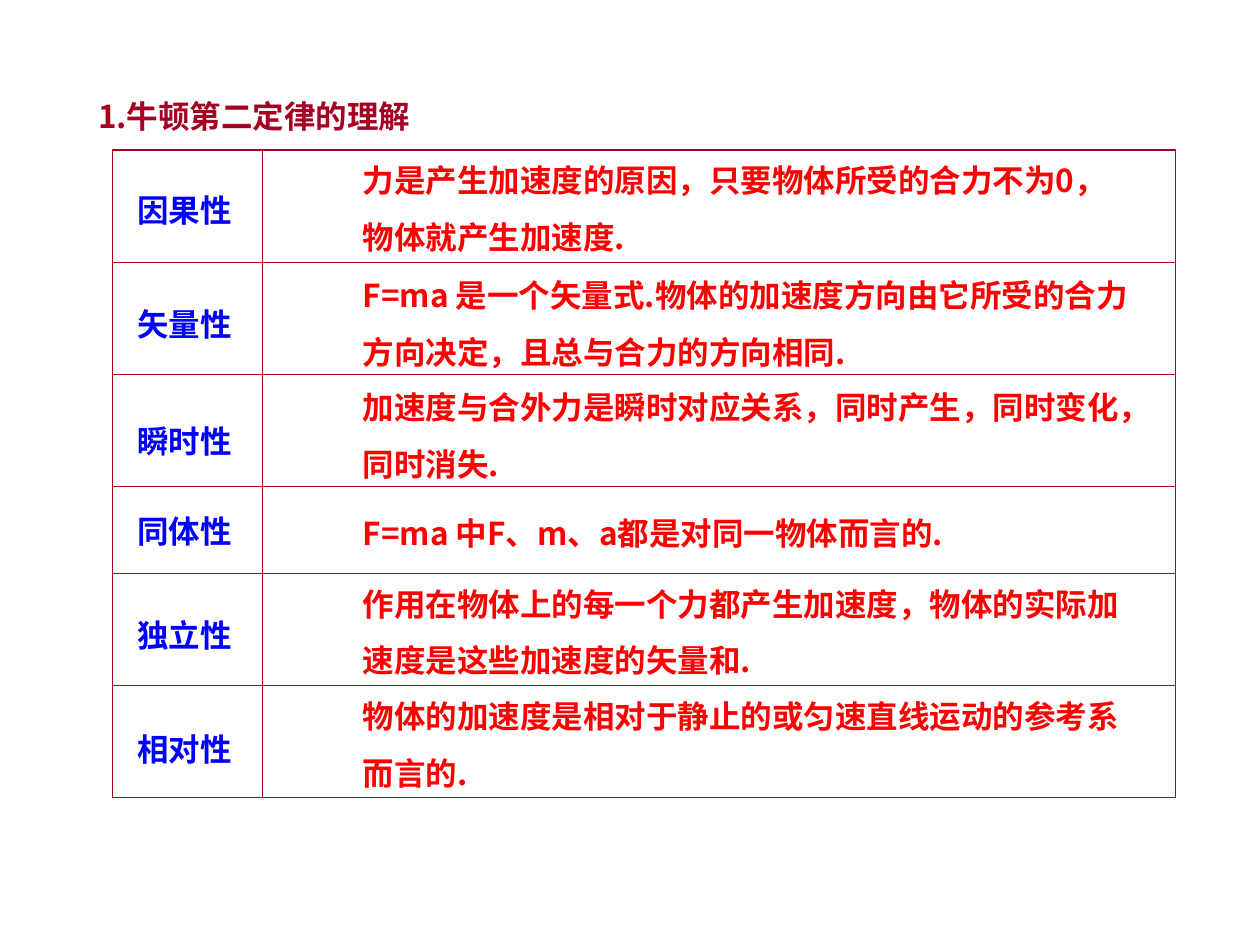
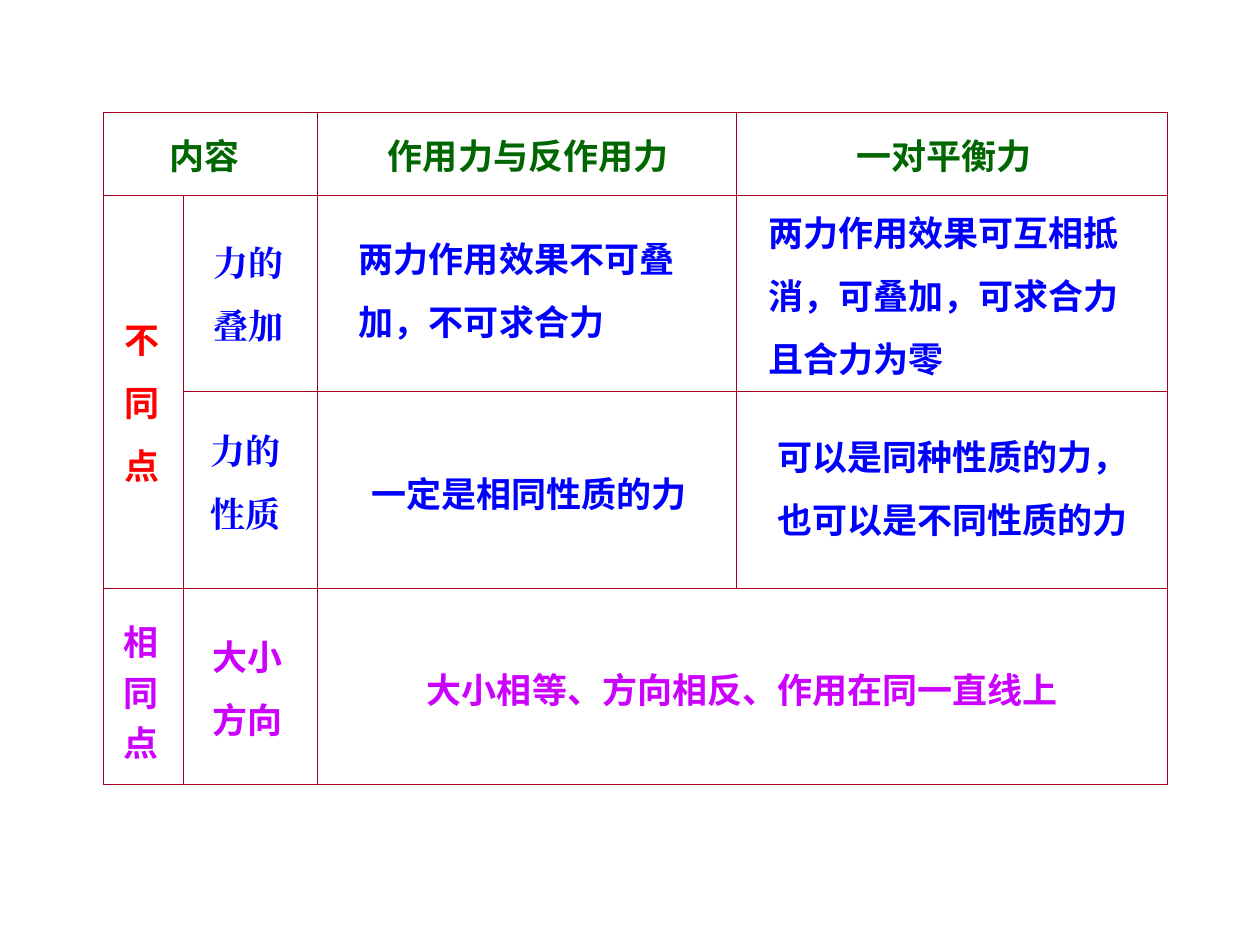
from lxml.etree import SubElement
from pptx import Presentation
from pptx.dml.color import RGBColor
from pptx.enum.text import MSO_ANCHOR as Anchor, MSO_AUTO_SIZE as AutoSize
from pptx.oxml.ns import qn
from pptx.util import Pt

SANS, SERIF = "Noto Sans CJK SC", "Times New Roman"
CRIMSON, BLUE, RED, GREEN, PURPLE = "A50021", "0000FF", "FF0000", "006600", "CC00FF"
NO_GRID = "{2D5ABB26-0587-4C30-8999-92F81FD0307C}"
OUTER, INNER = 0.75, 0.45

LAW_TITLE = "1.牛顿第二定律的理解"
LAW_GRID = dict(left=64.1, top=85.7, columns=[85.7, 522],
                rows=[64.1, 64.1, 64.1, 49.7, 64.1, 64.1])
LAW_LABEL_LEFT, LAW_TEXT_LEFT = 71.3, 200.2
LAW_PROPERTIES = [
    ("因果性", 95, 77.8, 455.8, ["力是产生加速度的原因，只要物体所受的合力不为0，物体就产生加速度."]),
    ("矢量性", 159.8, 143.3, 484.6, ["F=ma 是一个矢量式.物体的加速度方向由它所受的合力",
                                  "方向决定，且总与合力的方向相同."]),
    ("瞬时性", 226.8, 207.4, 488.9, ["加速度与合外力是瞬时对应关系，同时产生，同时变化，",
                                  "同时消失."]),
    ("同体性", 277.9, 279.4, 455.8, ["F=ma 中F、m、a都是对同一物体而言的."]),
    ("独立性", 337.7, 319.7, 455.8, ["作用在物体上的每一个力都产生加速度，物体的实际加速度是这些加速度的矢量和."]),
    ("相对性", 402.5, 383.8, 455.8, ["物体的加速度是相对于静止的或匀速直线运动的参考系而言的."]),
]

FORCE_GRID = dict(left=59, top=64.1, columns=[46, 76.3, 239.8, 246.2],
                  rows=[47.5, 112.3, 112.3, 112.3],
                  merges=[(0, 0, 0, 1), (1, 0, 2, 0), (3, 2, 3, 3)])
FORCE_TEXTS = [
    (["内容"], (90, 61.2, 79.9, 43.2), GREEN, {}),
    (["作用力与反作用力"], (214.6, 61.2, 205.9, 43.2), GREEN, {}),
    (["一对平衡力"], (482.4, 61.2, 159.8, 43.2), GREEN, {}),
    (["不", "同", "点"], (64.1, 166.3, 45.4, 115.2), RED, {}),
    (["力的", "叠加"], (115.2, 122.4, 76.3, 79.2), BLUE, dict(name=SERIF)),
    (["力的", "性质"], (113, 229.7, 76.3, 79.2), BLUE, dict(name=SERIF)),
    (["两力作用效果不可叠", "加，不可求合力"], (198, 120.2, 244.8, 79.2), BLUE, {}),
    (["两力作用效果可互相抵", "消，可叠加，可求合力", "且合力为零"],
     (432, 105.1, 253.4, 115.2), BLUE, {}),
    (["一定是相同性质的力"], (205.2, 254.2, 240.5, 43.2), BLUE, {}),
    (["可以是同种性质的力，", "也可以是不同性质的力"], (437, 233.3, 262.8, 79.2), BLUE, {}),
    (["相", "同", "点"], (63.4, 346.3, 58.3, 93.6), PURPLE, dict(spacing=1.2)),
    (["大小", "方向"], (114.5, 347.8, 91.4, 79.2), PURPLE, {}),
    (["大小相等、方向相反、作用在同一直线上"], (236.9, 366.5, 434.9, 43.2), PURPLE, {}),
]


def color(value):
    return RGBColor.from_string(value)


def add_text(page, lines, place, ink, size=20, name=SANS, spacing=1.5):
    box = page.shapes.add_textbox(*map(Pt, place))
    frame = box.text_frame
    frame.word_wrap = True
    frame.auto_size = AutoSize.SHAPE_TO_FIT_TEXT
    frame.vertical_anchor = Anchor.MIDDLE
    frame.text = "\n".join(lines)
    for para in frame.paragraphs:
        para.line_spacing = spacing
        font = para.font
        font.name, font.size, font.bold = name, Pt(size), True
        font.color.rgb = color(ink)
        defaults = para._p.pPr.find(qn("a:defRPr"))
        SubElement(defaults, qn("a:ea"), typeface=name)


def add_border(cell, side, width):
    properties = cell._tc.get_or_add_tcPr()
    line = SubElement(properties, qn("a:ln" + side), w=str(Pt(width)))
    fill = SubElement(line, qn("a:solidFill"))
    SubElement(fill, qn("a:srgbClr"), val=CRIMSON)


def add_grid(page, left, top, columns, rows, merges=()):
    shape = page.shapes.add_table(len(rows), len(columns), Pt(left), Pt(top),
                                  Pt(sum(columns)), Pt(sum(rows)))
    table = shape.table
    table.first_row = table.horz_banding = False
    table._tbl.tblPr.find(qn("a:tableStyleId")).text = NO_GRID
    for column, width in zip(table.columns, columns):
        column.width = Pt(width)
    for row, height in zip(table.rows, rows):
        row.height = Pt(height)
    for first_row, first_column, last_row, last_column in merges:
        table.cell(first_row, first_column).merge(table.cell(last_row, last_column))
    for r in range(len(rows)):
        for c in range(len(columns)):
            cell = table.cell(r, c)
            if cell.is_spanned:
                continue
            height, width = (cell.span_height, cell.span_width) if cell.is_merge_origin else (1, 1)
            edges = {"L": c == 0, "R": c + width == len(columns),
                     "T": r == 0, "B": r + height == len(rows)}
            for side, outside in edges.items():
                add_border(cell, side, OUTER if outside else INNER)
            cell.fill.background()


def build_law_page(page):
    add_grid(page, **LAW_GRID)
    add_text(page, [LAW_TITLE], (49, 41, 263.5, 39.6), CRIMSON, size=18)
    for label, label_top, text_top, width, lines in LAW_PROPERTIES:
        height = 39.6 if label == "同体性" else 72
        add_text(page, [label], (LAW_LABEL_LEFT, label_top, 106.6, 39.6), BLUE, size=18)
        add_text(page, lines, (LAW_TEXT_LEFT, text_top, width, height), RED, size=18)


def build_force_page(page):
    add_grid(page, **FORCE_GRID)
    for lines, place, ink, style in FORCE_TEXTS:
        add_text(page, lines, place, ink, **style)


def main():
    deck = Presentation()
    deck.slide_width, deck.slide_height = Pt(720), Pt(540)
    for build in (build_law_page, build_force_page):
        build(deck.slides.add_slide(deck.slide_layouts[6]))
    deck.save("out.pptx")


if __name__ == "__main__":
    main()
